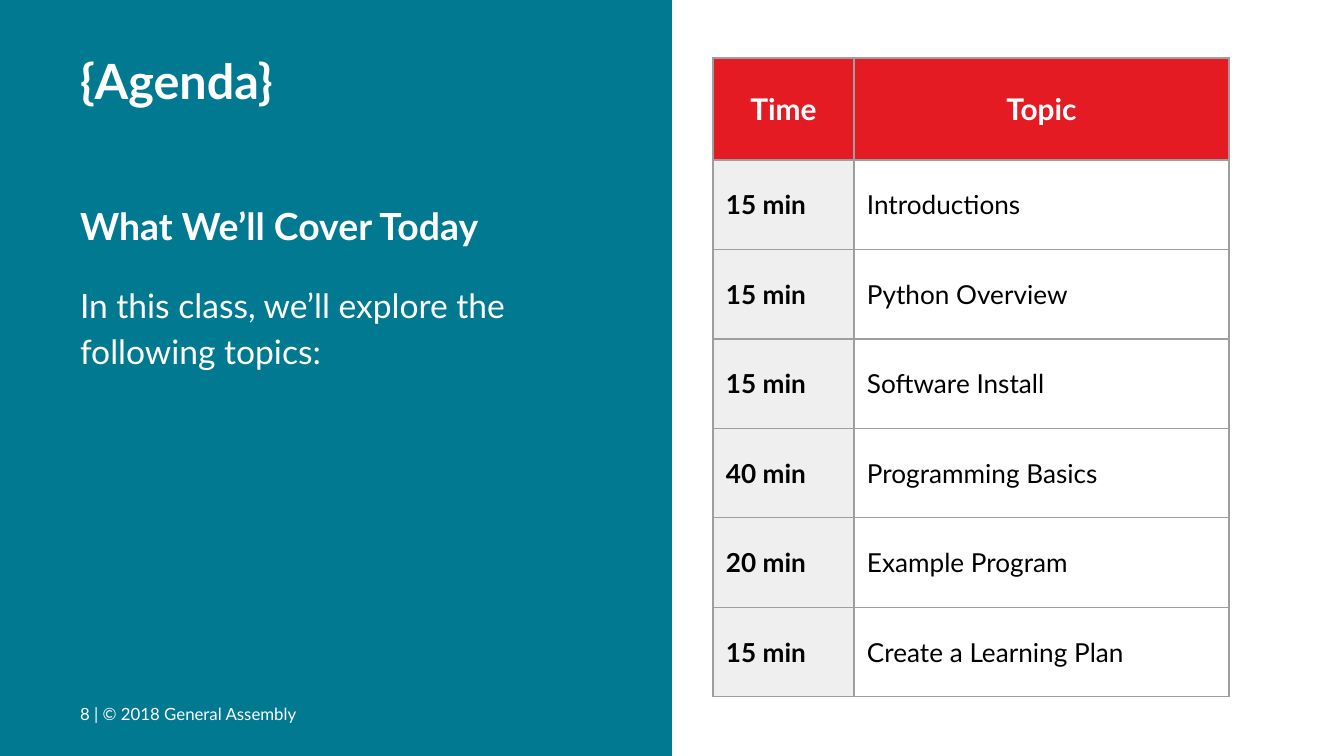
from lxml import etree
from pptx import Presentation
from pptx.dml.color import RGBColor
from pptx.enum.shapes import MSO_SHAPE
from pptx.enum.text import MSO_ANCHOR, MSO_AUTO_SIZE, PP_ALIGN
from pptx.oxml import parse_xml
from pptx.oxml.ns import nsdecls, qn
from pptx.util import Emu, Pt

EMU_PER_PX = 914400 / 134.4
RECTANGLE = MSO_SHAPE.RECTANGLE
TOP, MIDDLE = MSO_ANCHOR.TOP, MSO_ANCHOR.MIDDLE
LEFT, CENTER = PP_ALIGN.LEFT, PP_ALIGN.CENTER
FIXED_SIZE = MSO_AUTO_SIZE.NONE
TWO_CONTENT_LAYOUT = 3

FONT = "Lato"
TEAL, RED, GREY, WHITE, BLACK = "017991", "E51B24", "EFEFEF", "FFFFFF", "000000"
BORDER = "9E9E9E"
INSET = 13
COLUMN_WIDTHS = (141, 375)
HEADER_HEIGHT, TOPICS_HEIGHT = 102, 537

HEADINGS = ("Time", "Topic")
AGENDA = (
    ("15 min", "Introductions"),
    ("15 min", "Python Overview"),
    ("15 min", "Software Install"),
    ("40 min", "Programming Basics"),
    ("20 min", "Example Program"),
    ("15 min", "Create a Learning Plan"),
)


def px(length):
    """Turn whole pixels into EMU."""
    return Emu(round(length * EMU_PER_PX))


def color(hex_value):
    """Turn a hex string into a colour."""
    return RGBColor.from_string(hex_value)


def place(shape, left, top, width, height):
    """Set the position and size of a shape in pixels."""
    shape.left, shape.top = px(left), px(top)
    shape.width, shape.height = px(width), px(height)


def set_margins(target):
    """Give a text frame or table cell equal insets."""
    target.margin_left = target.margin_right = px(INSET)
    target.margin_top = target.margin_bottom = px(INSET)


def write(frame, text, size, fill=WHITE, bold=False, align=LEFT,
          spacing=1.0, after=0):
    """Write one formatted, unbulleted paragraph into a text frame."""
    paragraph = frame.paragraphs[0]
    properties = paragraph._p.get_or_add_pPr()
    properties.set("marL", "0")
    properties.set("indent", "0")
    etree.SubElement(properties, qn("a:buNone"))
    paragraph.alignment = align
    paragraph.line_spacing = spacing
    paragraph.space_before, paragraph.space_after = Pt(0), Pt(after)
    run = paragraph.add_run()
    run.text = text
    run.font.name, run.font.size, run.font.bold = FONT, Pt(size), bold
    run.font.color.rgb = color(fill)


def add_panel(slide):
    """Put the coloured left half behind everything else."""
    panel = slide.shapes.add_shape(RECTANGLE, 0, 0, px(672), px(756))
    panel.shadow.inherit = False
    panel.fill.solid()
    panel.fill.fore_color.rgb = color(TEAL)
    panel.line.fill.background()
    slide.shapes._spTree.insert(2, panel._element)


def fill_box(box, bounds, text, size, anchor=TOP, **text_format):
    """Place a text box or placeholder and write its text."""
    place(box, *bounds)
    frame = box.text_frame
    frame.word_wrap = True
    frame.auto_size = FIXED_SIZE
    frame.vertical_anchor = anchor
    set_margins(frame)
    write(frame, text, size, **text_format)


def add_borders(cell):
    """Draw a thin line on all four sides of a cell."""
    properties = cell._tc.get_or_add_tcPr()
    for position, side in enumerate(("lnL", "lnR", "lnT", "lnB")):
        line = parse_xml(
            f'<a:{side} {nsdecls("a")} w="{Pt(0.75)}"><a:solidFill>'
            f'<a:srgbClr val="{BORDER}"/></a:solidFill></a:{side}>')
        properties.insert(position, line)


def fill_cell(cell, text, background, size, **text_format):
    """Write and decorate one table cell."""
    cell.vertical_anchor = MIDDLE
    set_margins(cell)
    if background:
        cell.fill.solid()
        cell.fill.fore_color.rgb = color(background)
    else:
        cell.fill.background()
    add_borders(cell)
    write(cell.text_frame, text, size, **text_format)


def add_agenda(slide):
    """Add the table of times and topics."""
    agenda = slide.shapes.add_table(
        len(AGENDA) + 1, len(HEADINGS), px(713), px(58),
        px(sum(COLUMN_WIDTHS)), px(HEADER_HEIGHT + TOPICS_HEIGHT)).table
    agenda.horz_banding = False
    for column, width in zip(agenda.columns, COLUMN_WIDTHS):
        column.width = px(width)
    for row in agenda.rows:
        row.height = px(TOPICS_HEIGHT / len(AGENDA))
    agenda.rows[0].height = px(HEADER_HEIGHT)
    for index, heading in enumerate(HEADINGS):
        fill_cell(agenda.cell(0, index), heading, RED, 16, bold=True,
                  align=CENTER)
    for index, (time, topic) in enumerate(AGENDA, start=1):
        fill_cell(agenda.cell(index, 0), time, GREY, 14, fill=BLACK, bold=True)
        fill_cell(agenda.cell(index, 1), topic, None, 14, fill=BLACK)


def main():
    """Build the agenda slide and save it."""
    deck = Presentation()
    deck.slide_width, deck.slide_height = px(1344), px(756)
    slide = deck.slides.add_slide(deck.slide_layouts[TWO_CONTENT_LAYOUT])
    title, subtitle, introduction = slide.placeholders
    add_panel(slide)
    fill_box(title, (67, 38, 499, 85), "{Agenda}", 26, bold=True)
    add_agenda(slide)
    footer = slide.shapes.add_textbox(0, 0, 0, 0)
    fill_box(footer, (67, 685, 348, 58), "8 | © 2018 General Assembly", 9,
             anchor=MIDDLE)
    fill_box(subtitle, (67, 183, 585, 47), "What We’ll Cover Today", 20,
             bold=True, spacing=1.15, after=16)
    fill_box(introduction, (67, 266, 466, 413),
             "In this class, we’ll explore the following topics:", 18,
             spacing=1.15, after=16)
    deck.save("out.pptx")


if __name__ == "__main__":
    main()
